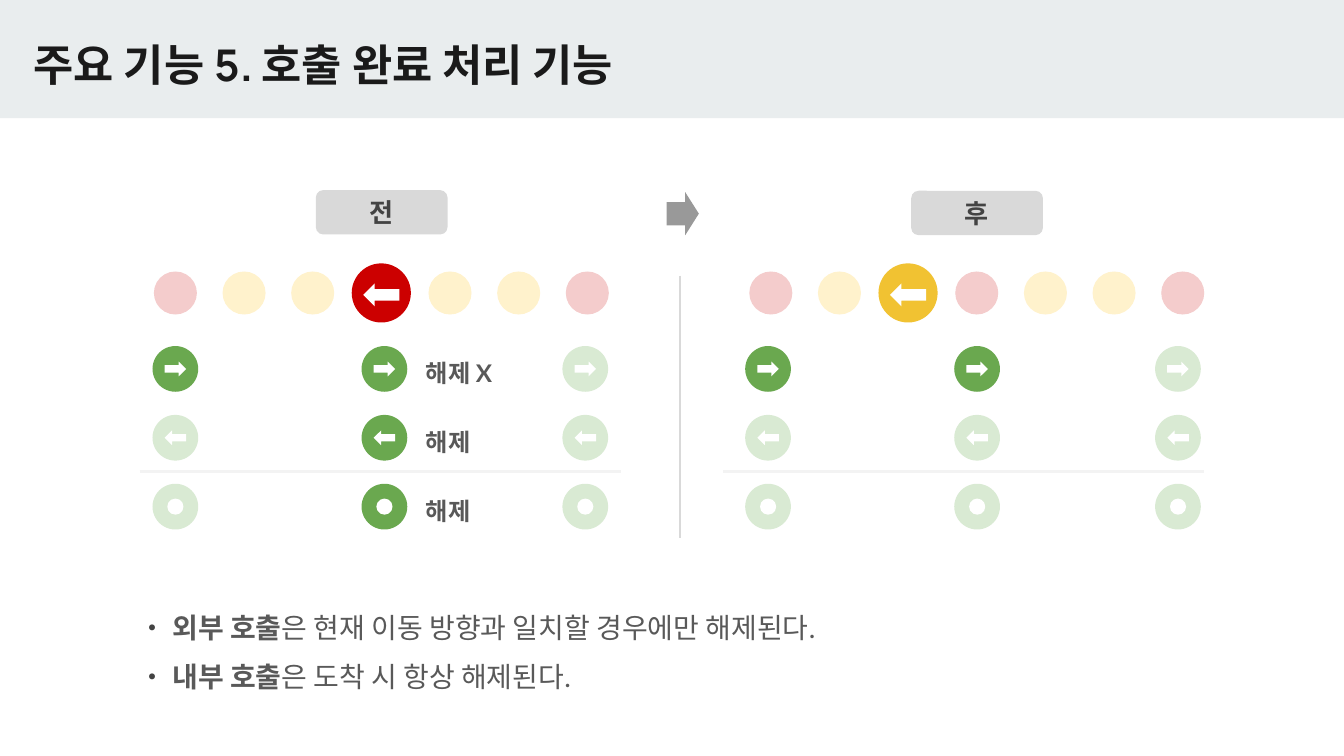
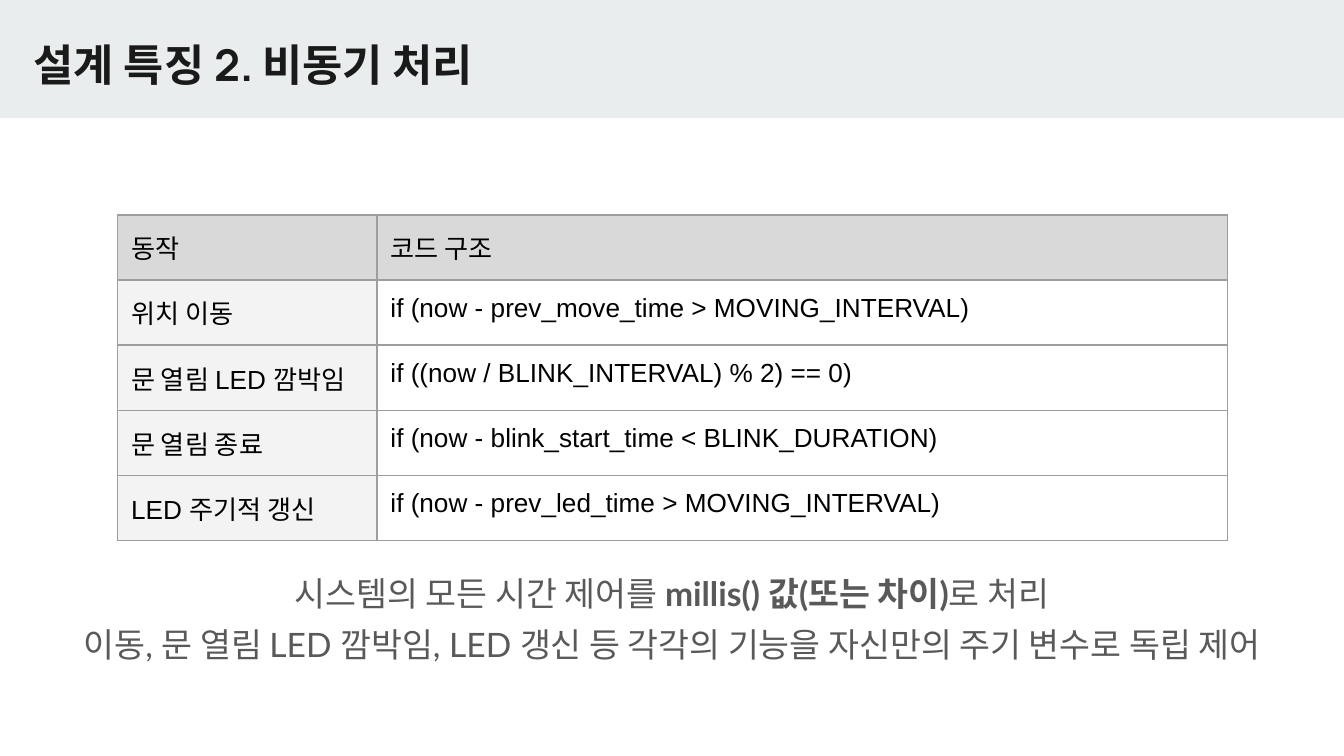
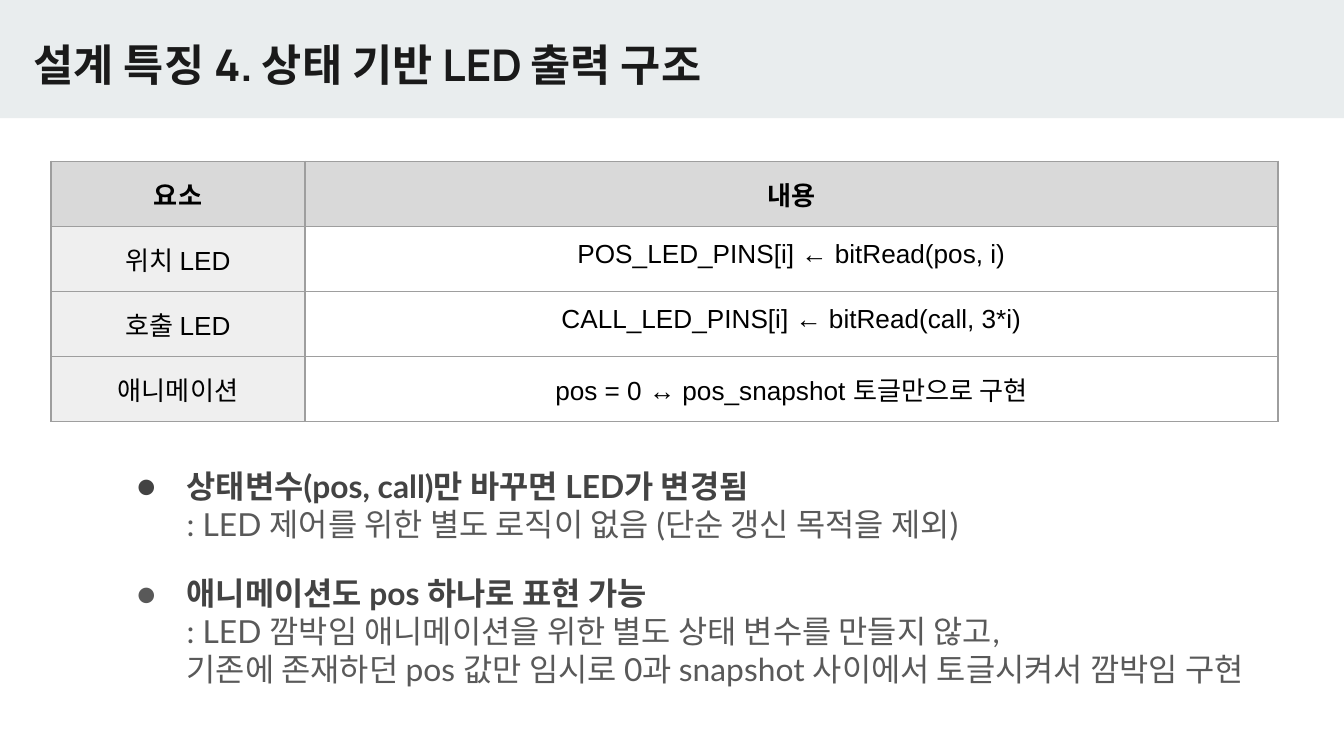
from dataclasses import dataclass

from lxml.etree import SubElement
from pptx import Presentation
from pptx.dml.color import RGBColor
from pptx.enum.shapes import MSO_CONNECTOR, MSO_SHAPE
from pptx.enum.text import MSO_ANCHOR, MSO_AUTO_SIZE, PP_ALIGN
from pptx.oxml.ns import qn
from pptx.util import Inches, Pt


@dataclass(frozen=True)
class Theme:
    band: str = "E9EDEE"
    ink: str = "1A1A1A"
    strong: str = "434343"
    body: str = "595959"
    black: str = "000000"
    white: str = "FFFFFF"
    header: str = "D9D9D9"
    pale: str = "F3F3F3"
    label_column: str = "EFEFEF"
    border: str = "9E9E9E"
    arrow: str = "999999"
    stop_lamp: str = "F4CCCC"
    move_lamp: str = "FFF2CC"
    stop_lit: str = "CC0000"
    move_lit: str = "F1C232"
    call_on: str = "6AA84F"
    call_off: str = "D9EAD3"
    title_font: str = "Manrope"
    body_font: str = "Lato"
    plain_font: str = "Arial"
    title_size: float = 23.4
    lead_size: float = 18
    point_size: float = 17
    note_size: float = 15
    table_size: float = 14
    tag_size: float = 13


@dataclass(frozen=True)
class Box:
    left: float
    top: float
    width: float
    height: float

    def emu(self):
        return [cells(n) for n in (self.left, self.top, self.width, self.height)]

    def point(self, across, down):
        return self.left + across * self.width, self.top + down * self.height


THEME = Theme()
SLIDE_WIDTH = Inches(10)
SLIDE_HEIGHT = SLIDE_WIDTH * 9 // 16
COLUMNS = 100
CELL = SLIDE_WIDTH / COLUMNS
BAND = Box(0, 0, COLUMNS, 8.8)
TITLE = Box(1.5, 1.8, 84.1, 5.9)
LEFT, RIGHT = 90, 270


def cells(count):
    return round(count * CELL)


def centred(point, width, height):
    return Box(point[0] - width / 2, point[1] - height / 2, width, height)


def color(value):
    return RGBColor.from_string(value)


def style(run, size, ink, font=THEME.body_font, bold=False):
    run.font.size = Pt(size)
    run.font.bold = bold
    run.font.color.rgb = color(ink)
    run.font.name = font


def pad(frame, anchor=MSO_ANCHOR.TOP):
    frame.word_wrap = True
    frame.auto_size = MSO_AUTO_SIZE.NONE
    frame.vertical_anchor = anchor
    frame.margin_left = frame.margin_right = Inches(0.1)
    frame.margin_top = frame.margin_bottom = Inches(0.1)


def add_text(slide, box, segments, size, align=PP_ALIGN.LEFT):
    frame = slide.shapes.add_textbox(*box.emu()).text_frame
    pad(frame)
    paragraph = frame.paragraphs[0]
    paragraph.alignment = align
    for words, ink, font, bold in segments:
        run = paragraph.add_run()
        run.text = words
        style(run, size, ink, font, bold)


def body(words, bold=False):
    return words, THEME.body, THEME.body_font, bold


def add_filled(slide, kind, box, fill, rotation=0, adjustments=()):
    shape = slide.shapes.add_shape(kind, *box.emu())
    shape.shadow.inherit = False
    shape.fill.solid()
    shape.fill.fore_color.rgb = color(fill)
    shape.line.fill.background()
    shape.rotation = rotation
    for index, value in enumerate(adjustments):
        shape.adjustments[index] = value
    return shape


def add_disc(slide, centre, diameter, fill):
    add_filled(slide, MSO_SHAPE.OVAL, centred(centre, diameter, diameter), fill)


def add_direction(slide, centre, width, length, rotation):
    add_filled(slide, MSO_SHAPE.DOWN_ARROW, centred(centre, width, length),
               THEME.white, rotation, (0.5, 0.5))


def add_rule(slide, start, end, ink):
    rule = slide.shapes.add_connector(
        MSO_CONNECTOR.STRAIGHT, *(cells(n) for n in (*start, *end)))
    rule.line.color.rgb = color(ink)
    rule.line.width = Pt(1.5)
    SubElement(rule.element.spPr, qn("a:effectLst"))


def add_band(deck, layout):
    scratch = deck.slides[0]
    band = add_filled(scratch, MSO_SHAPE.RECTANGLE, BAND, THEME.band)
    layout.shapes.element.insert(2, band.element)


def add_titled_slide(deck, words):
    layout = deck.slide_layouts[5]
    slide = deck.slides.add_slide(layout)
    if len(deck.slides) == 1:
        add_band(deck, layout)
    title = slide.shapes.title
    title.left, title.top, title.width, title.height = TITLE.emu()
    title.text_frame.text = words
    pad(title.text_frame)
    heading = title.text_frame.paragraphs[0]
    heading.alignment = PP_ALIGN.LEFT
    style(heading.runs[0], THEME.title_size, THEME.ink, THEME.title_font, True)
    return slide


def phase_heading(slide, box, words):
    heading = add_filled(slide, MSO_SHAPE.ROUNDED_RECTANGLE, box, THEME.header)
    pad(heading.text_frame, MSO_ANCHOR.MIDDLE)
    heading.text_frame.text = words
    paragraph = heading.text_frame.paragraphs[0]
    paragraph.alignment = PP_ALIGN.CENTER
    style(paragraph.runs[0], THEME.table_size, THEME.strong, bold=True)


def lamp_track(slide, box, lit):
    for stop in range(7):
        at_floor = stop % 3 == 0
        centre = box.point(stop / 6, 0.5)
        if stop == lit:
            add_disc(slide, centre, 4.4, THEME.stop_lit if at_floor else THEME.move_lit)
            add_direction(slide, (centre[0], centre[1] + 0.15), 1.7, 2.7, LEFT)
        else:
            add_disc(slide, centre, 3.2, THEME.stop_lamp if at_floor else THEME.move_lamp)


def call_board(slide, box, active, tags=()):
    floors = (0, 0.51, 1)
    for floor, across in enumerate(floors):
        for row, direction in enumerate((RIGHT, LEFT, None)):
            centre = box.point(across, row / 2)
            add_disc(slide, centre, 3.4,
                     THEME.call_on if (floor, row) in active else THEME.call_off)
            if direction is None:
                add_disc(slide, centre, 1.2, THEME.white)
            else:
                add_direction(slide, centre, 1.1, 1.6, direction)
    for row, words in enumerate(tags):
        across, down = box.point(floors[1], row / 2)
        add_text(slide, Box(across + 2.1, down - 1.8, 7.9, 2.6),
                 [body(words, True)], THEME.tag_size)


def call_note(slide, box, subject, rest):
    add_text(slide, box, [("・ ", THEME.strong, THEME.plain_font, False),
                          body(subject, True), body(rest)], THEME.note_size)


def set_borders(cell):
    properties = cell._tc.get_or_add_tcPr()
    for side in ("a:lnL", "a:lnR", "a:lnT", "a:lnB"):
        line = SubElement(properties, qn(side), w=str(Pt(0.75)))
        fill = SubElement(line, qn("a:solidFill"))
        SubElement(fill, qn("a:srgbClr"), val=THEME.border)


def add_grid(slide, box, first_share, heights, rows, label_fill,
             align=PP_ALIGN.LEFT, bold_header=False):
    grid = slide.shapes.add_table(len(rows), 2, *box.emu()).table
    grid.first_row = grid.horz_banding = False
    grid.columns[0].width = cells(box.width * first_share)
    grid.columns[1].width = cells(box.width * (1 - first_share))
    for row, (height, texts) in enumerate(zip(heights, rows)):
        grid.rows[row].height = cells(height)
        for column, words in enumerate(texts):
            cell = grid.cell(row, column)
            cell.margin_left = cell.margin_right = Inches(0.1)
            cell.margin_top = cell.margin_bottom = Inches(0.1)
            set_borders(cell)
            if row and column:
                cell.fill.background()
            else:
                cell.fill.solid()
                cell.fill.fore_color.rgb = color(label_fill if row else THEME.header)
            cell.text_frame.text = words
            paragraph = cell.text_frame.paragraphs[0]
            paragraph.alignment = align
            style(paragraph.runs[0], THEME.table_size, THEME.black,
                  THEME.plain_font, bold_header and row == 0)


def key_point(slide, box, paragraphs, bullet_ink):
    frame = slide.shapes.add_textbox(*box.emu()).text_frame
    pad(frame)
    for index, words in enumerate(paragraphs):
        paragraph = frame.add_paragraph() if index else frame.paragraphs[0]
        paragraph.text = words
        properties = paragraph._p.get_or_add_pPr()
        properties.set("marL", str(0 if index else Inches(0.5)))
        properties.set("indent", str(Inches(0.5 if index else -0.37)))
        if index == 0:
            ink = SubElement(properties, qn("a:buClr"))
            SubElement(ink, qn("a:srgbClr"), val=bullet_ink)
            SubElement(properties, qn("a:buFont"), typeface=THEME.body_font)
            SubElement(properties, qn("a:buChar"), char="●")
        for line, run in enumerate(paragraph.runs):
            claim = index == 0 and line == 0
            style(run, THEME.point_size, THEME.strong if claim else THEME.body, bold=claim)


def build_call_release(deck):
    slide = add_titled_slide(deck, "주요 기능 5. 호출 완료 처리 기능")
    phase_heading(slide, Box(23.5, 14.15, 9.8, 3.3), "전")
    phase_heading(slide, Box(67.8, 14.2, 9.8, 3.3), "후")
    add_filled(slide, MSO_SHAPE.RIGHT_ARROW, Box(49.6, 14.3, 2.4, 3.2),
               THEME.arrow, adjustments=(0.54, 0.42))
    for left in (10.4, 53.8):
        add_rule(slide, (left, 35.1), (left + 35.8, 35.1), THEME.pale)
    add_rule(slide, (50.6, 20.5), (50.6, 40), THEME.header)
    lamp_track(slide, Box(13.05, 19.6, 30.65, 4.4), lit=3)
    lamp_track(slide, Box(57.35, 19.6, 30.65, 4.4), lit=2)
    call_board(slide, Box(13.05, 27.45, 30.5, 10.25),
               {(0, 0), (1, 0), (1, 1), (1, 2)}, ("해제 X", "해제", "해제"))
    call_board(slide, Box(57.15, 27.45, 30.5, 10.25), {(0, 0), (1, 0)})
    call_note(slide, Box(9.3, 44.4, COLUMNS, 4.5), "외부 호출",
              "은 현재 이동 방향과 일치할 경우에만 해제된다.")
    call_note(slide, Box(9.3, 48.1, COLUMNS, 4.5), "내부 호출",
              "은 도착 시 항상 해제된다.")


def build_async(deck):
    slide = add_titled_slide(deck, "설계 특징 2. 비동기 처리")
    rows = [
        ("동작", "코드 구조"),
        ("위치 이동", "if (now - prev_move_time > MOVING_INTERVAL)"),
        ("문 열림 LED 깜박임", "if ((now / BLINK_INTERVAL) % 2) == 0)"),
        ("문 열림 종료", "if (now - blink_start_time < BLINK_DURATION)"),
        ("LED 주기적 갱신", "if (now - prev_led_time > MOVING_INTERVAL)"),
    ]
    add_grid(slide, Box(8.75, 16, 82.6, 21), 19.3 / 82.6, [4.2] * 5, rows, THEME.pale)
    add_text(slide, Box(0, 41.6, COLUMNS, 3.9),
             [body("시스템의 모든 시간 제어를"), body(" millis() 값(또는 차이)", True),
              body("로 처리")], THEME.lead_size, PP_ALIGN.CENTER)
    add_text(slide, Box(0, 45.4, COLUMNS, 4.6),
             [body("이동, 문 열림 LED 깜박임, LED 갱신 등 각각의 기능을 "
                   "자신만의 주기 변수로 독립 제어")],
             THEME.lead_size, PP_ALIGN.CENTER)


def build_state_output(deck):
    slide = add_titled_slide(deck, "설계 특징 4. 상태 기반 LED 출력 구조")
    rows = [
        ("요소", "내용"),
        ("위치 LED", "POS_LED_PINS[i] ← bitRead(pos, i)"),
        ("호출 LED", "CALL_LED_PINS[i] ← bitRead(call, 3*i)"),
        ("애니메이션", "pos = 0 ↔ pos_snapshot 토글만으로 구현"),
    ]
    add_grid(slide, Box(3.8, 12, 91.3, 13.2), 18.9 / 91.3, [3, 3.4, 3.4, 3.4], rows,
             THEME.label_column, PP_ALIGN.CENTER, bold_header=True)
    key_point(slide, Box(7.9, 33.7, 83.2, 5.9),
              ["상태변수(pos, call)만 바꾸면 LED가 변경됨",
               ": LED 제어를 위한 별도 로직이 없음 (단순 갱신 목적을 제외)"], THEME.strong)
    key_point(slide, Box(7.9, 41.7, 88, 12.7),
              ["애니메이션도 pos 하나로 표현 가능\v"
               ": LED 깜박임 애니메이션을 위한 별도 상태 변수를 만들지 않고,\v"
               "기존에 존재하던 pos 값만 임시로 0과 snapshot 사이에서 토글시켜서 깜박임 구현"],
              THEME.body)


def main():
    deck = Presentation()
    deck.slide_width, deck.slide_height = SLIDE_WIDTH, SLIDE_HEIGHT
    build_call_release(deck)
    build_async(deck)
    build_state_output(deck)
    deck.save("out.pptx")


if __name__ == "__main__":
    main()
